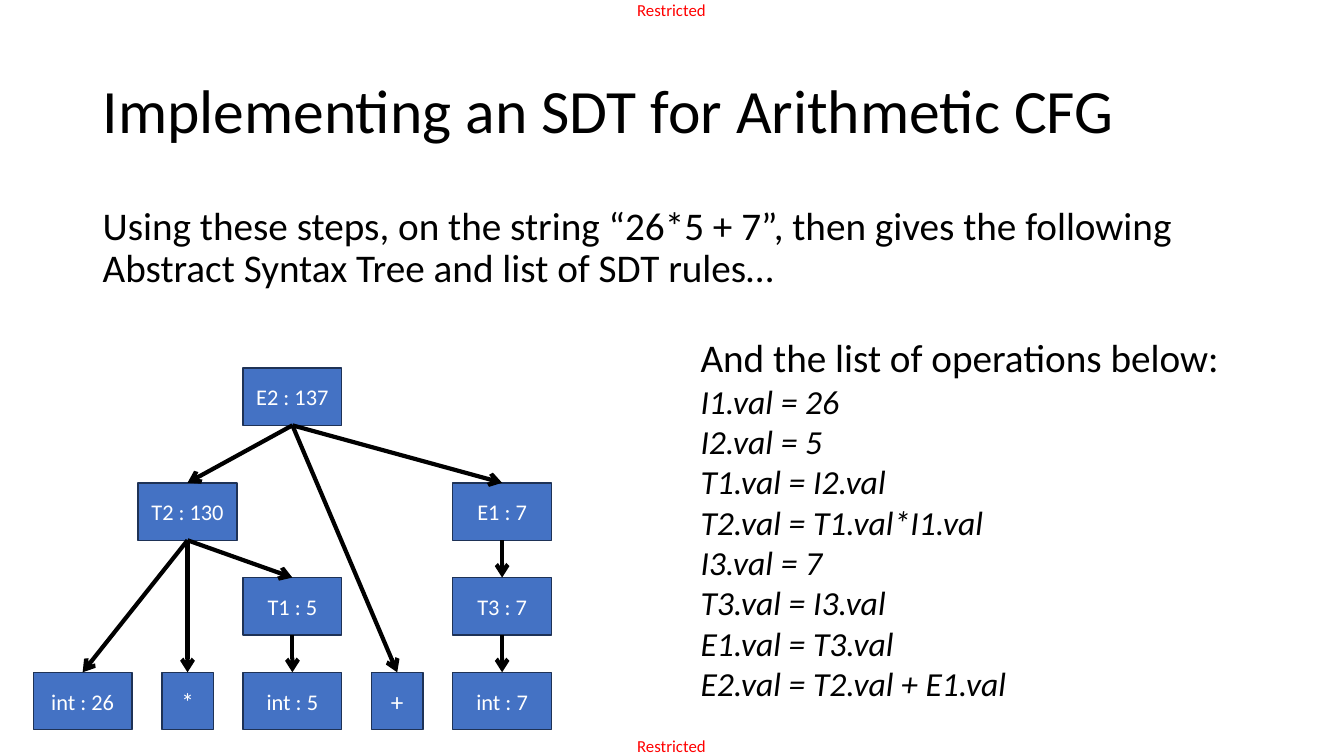
from dataclasses import dataclass

import lxml.etree
import pptx
import pptx.dml.color
import pptx.enum.shapes
import pptx.enum.text
import pptx.oxml.ns
import pptx.util

Inches = pptx.util.Inches
Pt = pptx.util.Pt
ANCHOR = pptx.enum.text.MSO_ANCHOR
ALIGN = pptx.enum.text.PP_ALIGN


@dataclass(frozen=True)
class Theme:
    font: str = "Calibri"
    ink: str = "000000"
    marking: str = "FF0000"
    node: str = "4472C4"
    node_edge: str = "1E3256"
    node_ink: str = "FFFFFF"
    title_size: int = 44
    body_size: int = 28
    rule_size: int = 24
    symbol_size: int = 18
    node_size: int = 16
    marking_size: int = 12
    edge_width: int = 1
    arrow_width: int = 3


@dataclass(frozen=True)
class Box:
    left: float
    top: float
    width: float
    height: float

    def lengths(self):
        return [Inches(v) for v in (self.left, self.top, self.width, self.height)]


THEME = Theme()
TITLE = "Implementing an SDT for Arithmetic CFG"
INTRO = (
    "Using these steps, on the string “26*5 + 7”, then gives the following "
    "Abstract Syntax Tree and list of SDT rules…"
)
RULES_HEADING = "And the list of operations below:"
RULES = [
    "I1.val = 26",
    "I2.val = 5",
    "T1.val = I2.val",
    "T2.val = T1.val*I1.val",
    "I3.val = 7",
    "T3.val = I3.val",
    "E1.val = T3.val",
    "E2.val = T2.val + E1.val",
]
MARKING = "Restricted"

NODE_HEIGHT = 0.57
NODE_WIDTH = 0.98
SYMBOL_WIDTH = 0.51
COLUMN_STEP = 1.04
LEVEL_OFFSETS = [0, 1.14, 2.08, 3.02]
NODES = {
    "E2 : 137": (2, 0),
    "T2 : 130": (1, 1),
    "E1 : 7": (4, 1),
    "T1 : 5": (2, 2),
    "T3 : 7": (4, 2),
    "int : 26": (0, 3),
    "*": (1, 3),
    "int : 5": (2, 3),
    "+": (3, 3),
    "int : 7": (4, 3),
}
CHILDREN = {
    "E2 : 137": ["T2 : 130", "+", "E1 : 7"],
    "T2 : 130": ["int : 26", "*", "T1 : 5"],
    "E1 : 7": ["T3 : 7"],
    "T1 : 5": ["int : 5"],
    "T3 : 7": ["int : 7"],
}


def rgb(code):
    return pptx.dml.color.RGBColor.from_string(code)


def apply(target, values):
    for key, value in values.items():
        setattr(target, key, value)


def write(paragraph, words, size, color=THEME.ink, italic=False, **layout):
    apply(paragraph, layout)
    run = paragraph.add_run()
    run.text = words
    apply(run.font, {"name": THEME.font, "size": Pt(size), "italic": italic})
    run.font.color.rgb = rgb(color)


def add_text_frame(slide, box, **values):
    frame = slide.shapes.add_textbox(*box.lengths()).text_frame
    apply(frame, {"word_wrap": True, **values})
    return frame


def add_marking(slide, box):
    margins = dict.fromkeys(
        ["margin_left", "margin_top", "margin_right", "margin_bottom"], 0
    )
    frame = add_text_frame(slide, box, **{**margins, "word_wrap": False})
    write(frame.paragraphs[0], MARKING, THEME.marking_size, THEME.marking)


def add_title(slide, box):
    frame = add_text_frame(slide, box, vertical_anchor=ANCHOR.MIDDLE)
    write(frame.paragraphs[0], TITLE, THEME.title_size, line_spacing=0.9)


def add_intro(slide, box):
    frame = add_text_frame(slide, box)
    write(
        frame.paragraphs[0],
        INTRO,
        THEME.body_size,
        line_spacing=0.9,
        space_before=Pt(10),
    )


def add_rules(slide, box):
    frame = add_text_frame(slide, box)
    write(frame.paragraphs[0], RULES_HEADING, THEME.body_size)
    for rule in RULES:
        write(frame.add_paragraph(), rule, THEME.rule_size, italic=True)


def add_node(slide, label, box, size):
    node = slide.shapes.add_shape(
        pptx.enum.shapes.MSO_SHAPE.RECTANGLE, *box.lengths()
    )
    node.shadow.inherit = False
    node.fill.solid()
    node.fill.fore_color.rgb = rgb(THEME.node)
    node.line.color.rgb = rgb(THEME.node_edge)
    node.line.width = Pt(THEME.edge_width)
    apply(node.text_frame, {"word_wrap": True, "vertical_anchor": ANCHOR.MIDDLE})
    write(
        node.text_frame.paragraphs[0],
        label,
        size,
        THEME.node_ink,
        alignment=ALIGN.CENTER,
    )
    return node


def add_branch(slide, parent, child):
    branch = slide.shapes.add_connector(
        pptx.enum.shapes.MSO_CONNECTOR.STRAIGHT, 0, 0, 0, 0
    )
    branch.begin_connect(parent, 2)
    branch.end_connect(child, 0)
    branch.line.color.rgb = rgb(THEME.ink)
    branch.line.width = Pt(THEME.arrow_width)
    qn = pptx.oxml.ns.qn
    outline = branch.line._get_or_add_ln()
    lxml.etree.SubElement(outline, qn("a:tailEnd"), type="arrow")
    lxml.etree.SubElement(branch._element.spPr, qn("a:effectLst"))


def add_syntax_tree(slide, box):
    nodes = {}
    for label, (column, level) in NODES.items():
        is_symbol = len(label) == 1
        width = SYMBOL_WIDTH if is_symbol else NODE_WIDTH
        center = box.left + NODE_WIDTH / 2 + column * COLUMN_STEP
        place = Box(
            center - width / 2, box.top + LEVEL_OFFSETS[level], width, NODE_HEIGHT
        )
        size = THEME.symbol_size if is_symbol else THEME.node_size
        nodes[label] = add_node(slide, label, place, size)
    for parent, children in CHILDREN.items():
        for child in children:
            add_branch(slide, nodes[parent], nodes[child])


def main():
    deck = pptx.Presentation()
    apply(deck, {"slide_width": Inches(13.33), "slide_height": Inches(7.5)})
    slide = deck.slides.add_slide(deck.slide_layouts[6])
    for top in (0, 7.3):
        add_marking(slide, Box(6.32, top, 0.73, 0.2))
    add_title(slide, Box(0.92, 0.4, 11.5, 1.45))
    add_intro(slide, Box(0.92, 2, 11.5, 5.5))
    add_rules(slide, Box(6.85, 3.26, 5.97, 3.8))
    add_syntax_tree(slide, Box(0.33, 3.65, 5.14, 3.59))
    deck.save("out.pptx")


if __name__ == "__main__":
    main()
